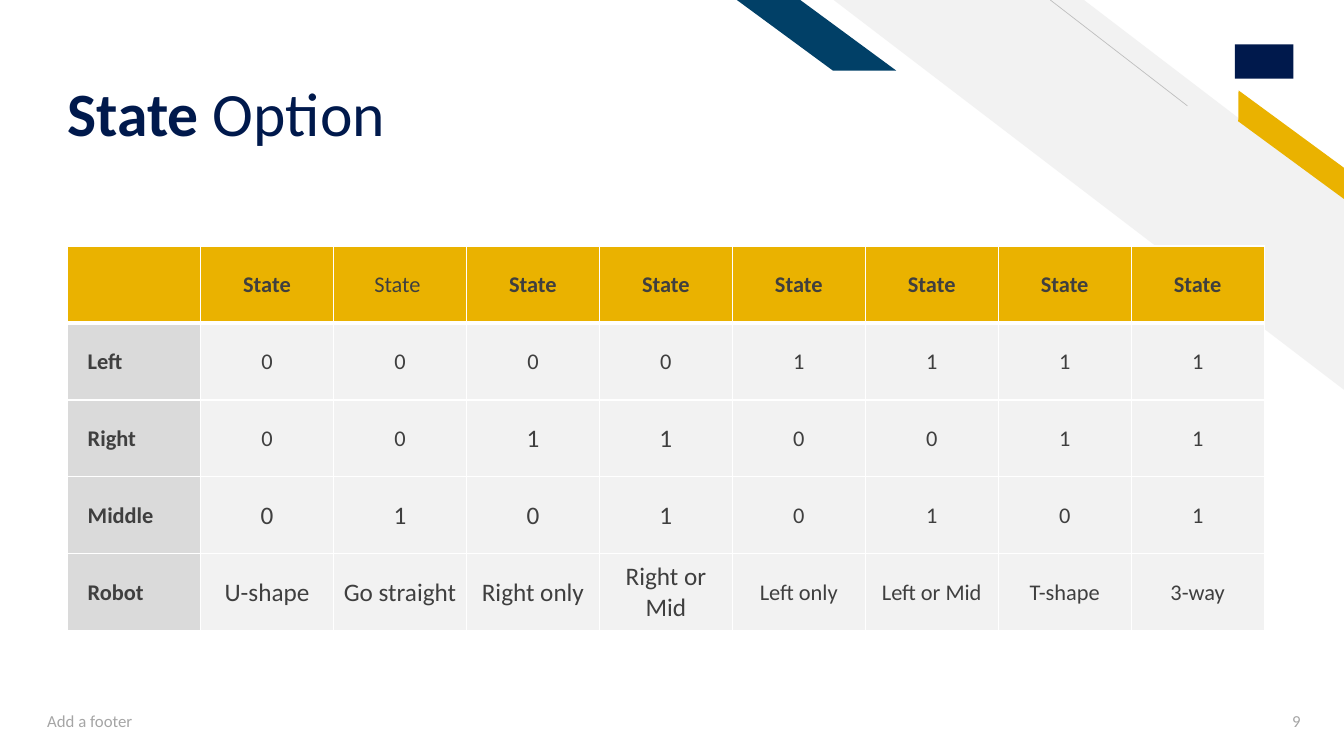
"""Build the State Option slide; places are percent shares of the slide size."""
from dataclasses import dataclass

from lxml.etree import SubElement as Sub
from pptx import Presentation as Deck
from pptx.dml.color import RGBColor as Rgb
from pptx.enum.shapes import MSO_CONNECTOR as Link, MSO_SHAPE as Form
from pptx.enum.text import MSO_ANCHOR as Anchor, MSO_AUTO_SIZE as Fit, PP_ALIGN as Align
from pptx.oxml.ns import qn
from pptx.util import Inches, Pt


@dataclass(frozen=True)
class Theme:
    """Colours, font and type sizes of the slide."""
    navy: str = "00194C"
    blue: str = "014067"
    gold: str = "EAB200"
    pale: str = "F2F2F2"
    side: str = "DADADA"
    line: str = "BFBFBF"
    ink: str = "3F3F3F"
    mute: str = "A5A5A5"
    white: str = "FFFFFF"
    font: str = "Calibri"
    title: int = 44
    large: int = 18
    cell: int = 16
    foot: int = 12


LOOK = Theme()
WIDE, HIGH = Inches(13.333), Inches(7.5)
HEAD = ["", "State", "State "] + ["State"] * 6
ROWS = [
    HEAD,
    ["Left", *"00001111"],
    ["Right", *"00110011"],
    ["Middle", *"01010101"],
    ["Robot", "U-shape", "Go straight", "Right only", "Right or Mid",
     "Left only", "Left or Mid", "T-shape", "3-way"],
]
LARGE = {2: (3, 4), 3: (1, 2, 3, 4), 4: (1, 2, 3, 4)}


def place(x, y, w, h):
    """Turn percent shares into lengths."""
    return [int(size * part / 100) for size, part in zip((WIDE, HIGH, WIDE, HIGH), (x, y, w, h))]


def write(para, text, size, color, bold=False):
    """Add one run to a paragraph."""
    run = para.add_run()
    run.text = text
    font = run.font
    font.name, font.size, font.bold = LOOK.font, Pt(size), bold
    font.color.rgb = Rgb.from_string(color)


def paint(item, color):
    """Fill a shape or cell with one colour."""
    item.fill.solid()
    item.fill.fore_color.rgb = Rgb.from_string(color)


def block(slide, form, box, color, adjust=None, turn=0):
    """Add a plain preset shape, mirrored when it is adjusted."""
    shape = slide.shapes.add_shape(form, *place(*box))
    shape.shadow.inherit = False
    paint(shape, color)
    shape.line.fill.background()
    if adjust is not None:
        shape.adjustments[0] = adjust
        shape.element.spPr.find(qn("a:xfrm")).set("flipH", "1")
    shape.rotation = turn


def rule(slide, box, color):
    """Add a thin line from one point to another."""
    line = slide.shapes.add_connector(Link.STRAIGHT, *place(*box))
    line.line.color.rgb = Rgb.from_string(color)
    line.line.width = Pt(0.5)
    Sub(line.element.spPr, qn("a:effectLst"))


def heading(slide, box, parts):
    """Format the title placeholder and add its runs."""
    shape = slide.shapes.title
    shape.left, shape.top, shape.width, shape.height = place(*box)
    frame = shape.text_frame
    frame.auto_size, frame.word_wrap = Fit.NONE, True
    frame.vertical_anchor, frame.margin_bottom = Anchor.BOTTOM, 0
    para = frame.paragraphs[0]
    para.alignment, para.line_spacing = Align.LEFT, 0.9
    for text, bold in parts:
        write(para, text, LOOK.title, LOOK.navy, bold)


def note(slide, box, text, align):
    """Add a small muted line of text."""
    frame = slide.shapes.add_textbox(*place(*box)).text_frame
    frame.word_wrap, frame.vertical_anchor = True, Anchor.MIDDLE
    para = frame.paragraphs[0]
    para.alignment = align
    write(para, text, LOOK.foot, LOOK.mute)


def edge(cell, **sides):
    """Draw white cell borders, given side by side in points."""
    prop = cell._tc.get_or_add_tcPr()
    for side, width in sides.items():
        line = Sub(prop, qn(f"a:ln{side}"), w=str(Pt(width)))
        Sub(Sub(line, qn("a:solidFill")), qn("a:srgbClr"), val=LOOK.white)


def grid(slide, box, rows):
    """Add the table with a gold head row and a grey side column."""
    count = len(rows[0])
    left, top, width, height = place(*box)
    table = slide.shapes.add_table(len(rows), count, left, top, width, height).table
    for col in table.columns:
        col.width = width // count
    for row in table.rows:
        row.height = height // len(rows)
    for i, row in enumerate(rows):
        for j, text in enumerate(row):
            cell = table.cell(i, j)
            head, side = i == 0, j == 0
            edge(cell, L=1, R=1, T=3 if i == 1 else 1, B=3 if head else 1)
            paint(cell, LOOK.gold if head else LOOK.side if side else LOOK.pale)
            cell.vertical_anchor = Anchor.MIDDLE
            cell.margin_left = Inches(0.2 if side else 0.1)
            para = cell.text_frame.paragraphs[0]
            para.alignment = Align.LEFT if side else Align.CENTER
            if text:
                size = LOOK.large if j in LARGE.get(i, ()) else LOOK.cell
                write(para, text, size, LOOK.ink, side or head and j != 2)


def main():
    """Build and save the slide."""
    deck = Deck()
    deck.slide_width, deck.slide_height = WIDE, HIGH
    slide = deck.slides.add_slide(deck.slide_layouts[5])
    block(slide, Form.DIAGONAL_STRIPE, (62.03, 0, 38, 51.6), LOOK.pale, 0.51)
    rule(slide, (88.35, 14, 78.15, 0), LOOK.line)
    block(slide, Form.PARALLELOGRAM, (90.53, 17.47, 11.1, 3.33), LOOK.gold, 0.72, 36.3)
    block(slide, Form.PARALLELOGRAM, (54.83, 0, 11.85, 9.33), LOOK.blue, 1.36)
    block(slide, Form.RECTANGLE, (91.88, 5.87, 4.35, 4.53), LOOK.navy)
    heading(slide, (4.28, 3.07, 68.33, 16.8), [("State ", True), ("Option", False)])
    grid(slide, (5.03, 32.53, 89.03, 50.93), ROWS)
    note(slide, (2.78, 92.67, 33.75, 5.33), "Add a footer", Align.LEFT)
    note(slide, (91.43, 92.67, 6.08, 5.33), "9", Align.RIGHT)
    deck.save("out.pptx")


if __name__ == "__main__":
    main()
